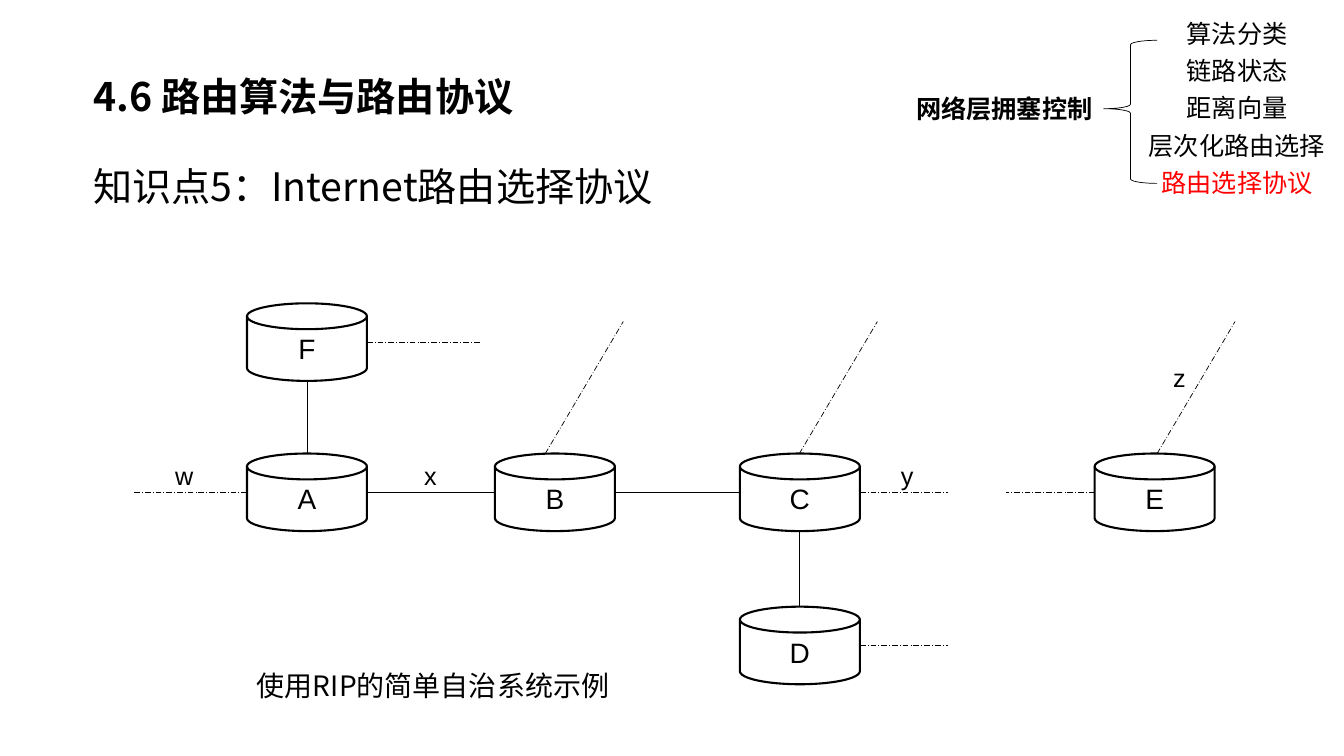
from dataclasses import dataclass

from lxml import etree
from pptx import Presentation
from pptx.dml.color import RGBColor
from pptx.enum import dml, shapes, text
from pptx.oxml import ns
from pptx.util import Pt


@dataclass(frozen=True)
class Theme:
    ink: RGBColor = RGBColor(0, 0, 0)
    accent: RGBColor = RGBColor(255, 0, 0)
    latin: str = "Arial"
    chinese: str = "Noto Sans CJK SC"
    heading: int = 28
    router: int = 20
    label: int = 18
    outline: float = 1.5
    hairline: float = 0.5


THEME = Theme()
ROUTER_WIDTH, ROUTER_HEIGHT = 85.7, 55.4
ROUTERS = {
    "A": (176.4, 324), "B": (353.5, 324), "C": (528.5, 324),
    "D": (528.5, 433.4), "E": (781.9, 324), "F": (176.4, 216.7),
}
STUBS = [("F", 81.4), ("A", -81.4), ("C", 62.6), ("E", -63), ("D", 62.6)]
SLANT_STARTS = (389.5, 571, 826.5)
NETWORKS = [("w", 118.1, 325.4), ("x", 295.9, 325.4),
            ("y", 636.5, 325.4), ("z", 830.9, 254.9)]
TOPICS = ["算法分类", "链路状态", "距离向量", "层次化路由选择", "路由选择协议"]
TOPIC_CENTER, TOPIC_TOP, TOPIC_STEP = 883.6, 15.1, 26.64


def style_text(frame, content, size, font, color=THEME.ink, bold=False,
               align=text.PP_ALIGN.LEFT):
    frame.text = content
    paragraph = frame.paragraphs[0]
    paragraph.alignment = align
    for run in paragraph.runs:
        run.font.size = Pt(size)
        run.font.name = font
        run.font.bold = bold
        run.font.color.rgb = color
        east_asian = etree.SubElement(run.font._element, ns.qn("a:ea"))
        east_asian.set("typeface", font)
    return paragraph


def set_heading_frame(frame, anchor):
    frame.word_wrap = True
    frame.auto_size = text.MSO_AUTO_SIZE.NONE
    frame.vertical_anchor = anchor
    frame.margin_left = frame.margin_right = Pt(9)
    frame.margin_top = frame.margin_bottom = Pt(4.5)


def add_title(slide, content):
    title = slide.shapes.title
    title.left, title.top, title.width, title.height = (
        Pt(57.6), Pt(46.8), Pt(694.8), Pt(42.5))
    set_heading_frame(title.text_frame, text.MSO_ANCHOR.TOP)
    style_text(title.text_frame, content, THEME.heading, THEME.chinese, bold=True)


def add_text(slide, box, content, size, font, wrap=True, **style):
    shape = slide.shapes.add_textbox(*map(Pt, box))
    shape.text_frame.word_wrap = wrap
    return shape.text_frame, style_text(shape.text_frame, content, size, font, **style)


def add_outline(slide, kind, box, weight):
    shape = slide.shapes.add_shape(kind, *map(Pt, box))
    shape.shadow.inherit = False
    shape.fill.background()
    shape.line.color.rgb = THEME.ink
    shape.line.width = Pt(weight)
    return shape


def add_router(slide, name):
    box = (*ROUTERS[name], ROUTER_WIDTH, ROUTER_HEIGHT)
    shape = add_outline(slide, shapes.MSO_SHAPE.FLOWCHART_MAGNETIC_DISK, box,
                        THEME.outline)
    shape.text_frame.vertical_anchor = text.MSO_ANCHOR.MIDDLE
    style_text(shape.text_frame, name, THEME.router, THEME.latin,
               align=text.PP_ALIGN.CENTER)


def add_line(slide, start, end, dashed=False):
    line = slide.shapes.add_connector(
        shapes.MSO_CONNECTOR.STRAIGHT, *map(Pt, (*start, *end)))
    line.line.color.rgb = THEME.ink
    line.line.width = Pt(THEME.hairline)
    if dashed:
        line.line.dash_style = dml.MSO_LINE.LONG_DASH_DOT
    etree.SubElement(line._element.spPr, ns.qn("a:effectLst"))


def side(name, across, down):
    """Return a point of a router, given as fractions of its width and height."""
    left, top = ROUTERS[name]
    return left + across * ROUTER_WIDTH, top + down * ROUTER_HEIGHT


def add_network(slide):
    for name in ROUTERS:
        add_router(slide, name)
    for upper, lower in ("FA", "CD"):
        add_line(slide, side(upper, 0.5, 1), side(lower, 0.5, 0))
    for left, right in ("AB", "BC"):
        add_line(slide, side(left, 1, 0.5), side(right, 0, 0.5))
    for name, length in STUBS:
        x, y = side(name, 1 if length > 0 else 0, 0.5)
        add_line(slide, (x, y), (x + length, y), dashed=True)
    for x in SLANT_STARTS:
        add_line(slide, (x, 324), (x + 55.7, 229.7), dashed=True)
    for name, left, top in NETWORKS:
        add_text(slide, (left, top, 40.3, 29.5), name, THEME.label, THEME.latin)


def add_topic_tree(slide):
    brace = add_outline(slide, shapes.MSO_SHAPE.LEFT_BRACE,
                        (788.4, 28.8, 38.2, 102.2), THEME.hairline)
    brace.adjustments[0] = 0.083
    brace.adjustments[1] = 0.478
    add_text(slide, (647.3, 63.4, 142.6, 28.8), "网络层拥塞控制", THEME.label,
             THEME.chinese, wrap=False, bold=True)
    for row, topic in enumerate(TOPICS):
        width = 18 * len(topic) + 15
        box = (TOPIC_CENTER - width / 2, TOPIC_TOP + row * TOPIC_STEP, width, 23.8)
        color = THEME.accent if topic == TOPICS[-1] else THEME.ink
        _, paragraph = add_text(slide, box, topic, THEME.label, THEME.chinese,
                                wrap=False, color=color,
                                align=text.PP_ALIGN.CENTER)
        paragraph.line_spacing = Pt(16)


def main():
    presentation = Presentation()
    presentation.slide_width, presentation.slide_height = Pt(960), Pt(540)
    slide = presentation.slides.add_slide(presentation.slide_layouts[5])
    add_title(slide, "4.6 路由算法与路由协议")
    frame, paragraph = add_text(slide, (57.6, 87.1, 875.5, 74.9),
                                "知识点5：Internet路由选择协议",
                                THEME.heading, THEME.chinese)
    set_heading_frame(frame, text.MSO_ANCHOR.MIDDLE)
    paragraph.line_spacing = 1.5
    add_network(slide)
    add_text(slide, (176.4, 473.8, 301.7, 31.7), "使用RIP的简单自治系统示例",
             THEME.router, THEME.chinese)
    add_topic_tree(slide)
    presentation.save("out.pptx")


if __name__ == "__main__":
    main()
